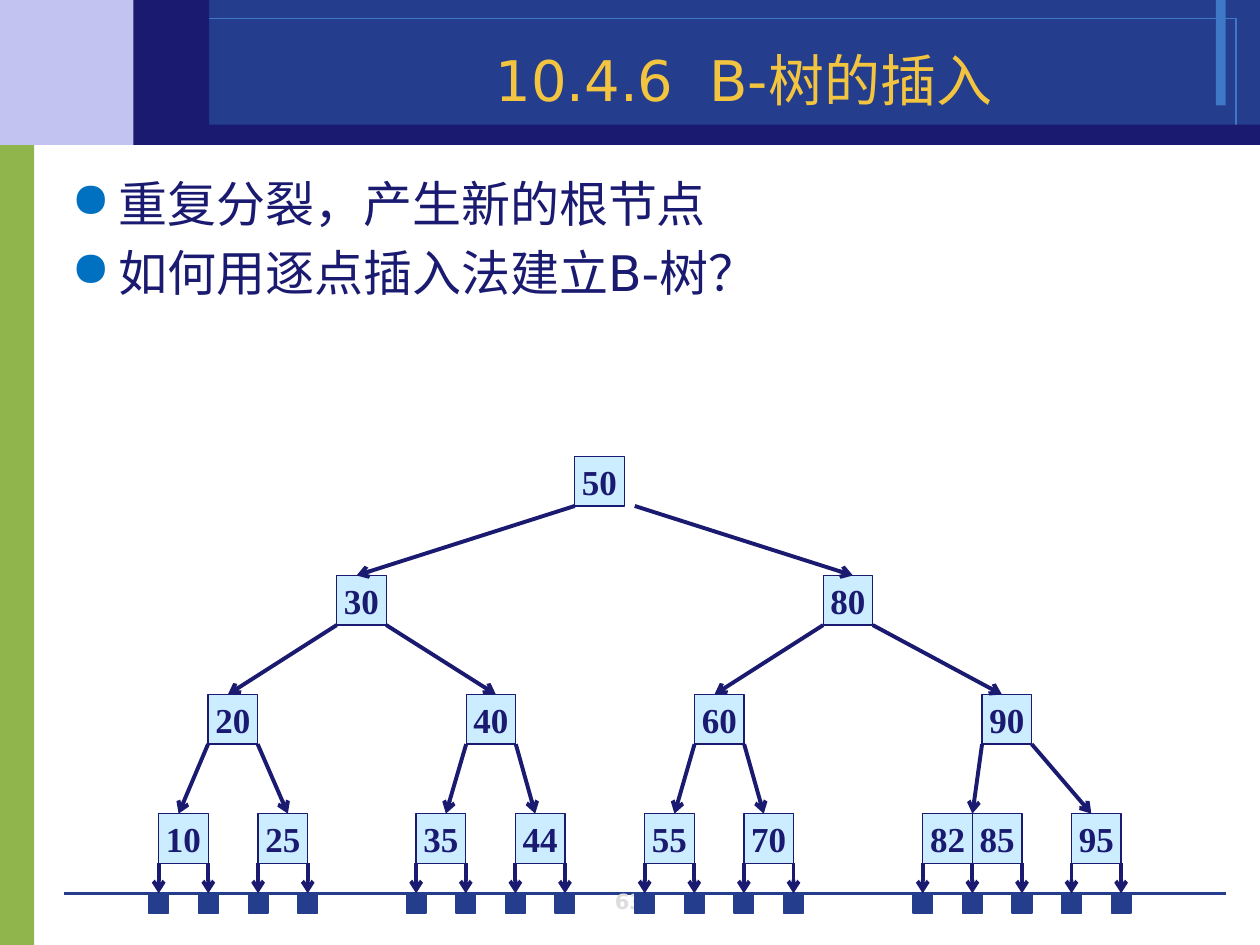
import pptx
import pptx.util
import pptx.dml.color
import pptx.enum.shapes
import pptx.enum.text
import pptx.oxml
from lxml import etree

Pt = pptx.util.Pt
ALIGN = pptx.enum.text.PP_ALIGN
ANCHOR = pptx.enum.text.MSO_ANCHOR
A = "http://schemas.openxmlformats.org/drawingml/2006/main"

# Content
TITLE = "10.4.6  B-树的插入"
BULLETS = ["重复分裂，产生新的根节点", "如何用逐点插入法建立B-树？"]
PAGE_NUMBER = "63"

NAVY, BLUE, SKY, CELL_FILL = "1A1A70", "243D8C", "3E78C6", "CCECFF"
TITLE_FONT = {"name": "DejaVu Sans", "size": Pt(32), "color": "F3C43F"}
BODY_FONT = {"name": "DejaVu Sans", "size": Pt(28), "color": NAVY}
NUMBER_FONT = {"name": "DejaVu Sans", "size": Pt(12), "bold": True, "color": "DDDDDD"}
KEY_FONT = {"name": "Times New Roman", "size": Pt(20), "bold": True, "color": NAVY}

# Backdrop: left, top, width, height, fill, line
BACKDROP = [
    (0, 76.8, 19.6, 463.2, "90B54D", None),
    (0, 0, 110.2, 82.8, "C3C3F1", None),
    (110.2, 0, 609.8, 82.8, BLUE, None),
    (694.8, 0, 5.6, 60.3, SKY, None),
    (85.7, 10.6, 620.6, 61.2, None, SKY),
    (93.6, 71.3, 626.4, 11.5, NAVY, None),
    (76.3, 0, 43.2, 82.8, NAVY, None),
]

# Tree levels; node: keys, left, parent, side of parent, where its arrow lands
CELL, LEAF = 28.35, 11.3
NEAR, FAR = 11.35, 17
LEVELS = [
    [(("50",), 328.4, None, None, None)],
    [(("30",), 192.4, "50", "left", NEAR), (("80",), 470.4, "50", "right", FAR)],
    [(("20",), 118.9, "30", "left", NEAR), (("40",), 266.4, "30", "right", FAR),
     (("60",), 396.9, "80", "left", NEAR), (("90",), 561.2, "80", "right", NEAR)],
    [(("10",), 90.7, "20", "left", NEAR), (("25",), 147.5, "20", "right", FAR),
     (("35",), 237.8, "40", "left", FAR), (("44",), 294.5, "40", "right", NEAR),
     (("55",), 368.4, "60", "left", FAR), (("70",), 425.1, "60", "right", NEAR),
     (("82", "85"), 527.3, "90", "left", CELL), (("95",), 612.3, "90", "right", NEAR)],
]
FIRST_TOP, LEVEL_STEP, LEAF_TOP = 260.8, 68.05, 510.5
ROOT_GAP = 6  # the root's right arrow starts clear of its cell

deck = pptx.Presentation()
deck.slide_width, deck.slide_height = Pt(720), Pt(540)
page = deck.slides.add_slide(deck.slide_layouts[6])


def rgb(value):
    return pptx.dml.color.RGBColor.from_string(value)


def add_span(para, text, font):
    span = para.add_run()
    span.text = text
    for name, value in font.items():
        if name == "color":
            span.font.color.rgb = rgb(value)
        else:
            setattr(span.font, name, value)


def add_rect(left, top, width, height, fill=None, line=None, weight=0.75):
    box = page.shapes.add_shape(pptx.enum.shapes.MSO_SHAPE.RECTANGLE,
                                Pt(left), Pt(top), Pt(width), Pt(height))
    box.shadow.inherit = False
    if fill:
        box.fill.solid()
        box.fill.fore_color.rgb = rgb(fill)
    else:
        box.fill.background()
    if line:
        box.line.color.rgb = rgb(line)
        box.line.width = Pt(weight)
    else:
        box.line.fill.background()
    return box


def add_line(x1, y1, x2, y2, color, weight, arrow=False):
    line = page.shapes.add_connector(pptx.enum.shapes.MSO_CONNECTOR.STRAIGHT,
                                     Pt(x1), Pt(y1), Pt(x2), Pt(y2))
    line.line.color.rgb = rgb(color)
    line.line.width = Pt(weight)
    if arrow:
        etree.SubElement(line.line._get_or_add_ln(), f"{{{A}}}headEnd", type="arrow")
    etree.SubElement(line._element.spPr, f"{{{A}}}effectLst")


def add_text(left, top, width, height, lines, font, align, anchor):
    box = page.shapes.add_textbox(Pt(left), Pt(top), Pt(width), Pt(height))
    frame = box.text_frame
    frame.word_wrap = True
    frame.vertical_anchor = anchor
    for index, text in enumerate(lines):
        para = frame.paragraphs[0] if index == 0 else frame.add_paragraph()
        para.alignment = align
        add_span(para, text, font)
    return frame


def add_bullet(para):
    para.space_before = Pt(5.6)
    props = para._p.get_or_add_pPr()
    props.set("marL", str(Pt(27)))
    props.set("indent", str(Pt(-27)))
    color = etree.SubElement(props, f"{{{A}}}buClr")
    etree.SubElement(color, f"{{{A}}}srgbClr", val="0070C0")
    etree.SubElement(props, f"{{{A}}}buChar", char="●")


def add_cell(key, left, top):
    box = add_rect(left, top, CELL, CELL, CELL_FILL, NAVY)
    frame = box.text_frame
    settings = {"word_wrap": False, "vertical_anchor": ANCHOR.MIDDLE, "margin_left": 0,
                "margin_right": 0, "margin_top": 0, "margin_bottom": 0}
    for name, value in settings.items():
        setattr(frame, name, value)
    frame.paragraphs[0].alignment = ALIGN.CENTER
    add_span(frame.paragraphs[0], key, KEY_FONT)


# Backdrop and text
for *place, fill, line in BACKDROP:
    add_rect(*place, fill, line, 0)
add_line(36.7, 510.5, 700.6, 510.5, BLUE, 0)
add_text(275.8, 507.6, 167.8, 18, [PAGE_NUMBER], NUMBER_FONT, ALIGN.CENTER, ANCHOR.BOTTOM)
add_text(130.3, 20.2, 589.7, 47.5, [TITLE], TITLE_FONT, ALIGN.CENTER, ANCHOR.BOTTOM)
body = add_text(33.8, 95.8, 686.2, 96.5, BULLETS, BODY_FONT, ALIGN.LEFT, ANCHOR.TOP)
for para in body.paragraphs:
    add_bullet(para)

# Tree cells, with an arrow from each parent's lower corner
corners = {}
for depth, nodes in enumerate(LEVELS):
    top = FIRST_TOP + depth * LEVEL_STEP
    bottom = top + CELL
    for keys, left, parent, side, landing in nodes:
        for index, key in enumerate(keys):
            add_cell(key, left + index * CELL, top)
        gap = 0 if parent else ROOT_GAP
        corners[keys[0]] = {"left": (left, bottom), "right": (left + CELL + gap, bottom)}
        if parent:
            add_line(left + landing, top, *corners[parent][side], NAVY, 2.25, arrow=True)

# Failure leaves under every edge of the lowest cells
for keys, left, *rest in LEVELS[-1]:
    for index in range(len(keys) + 1):
        x = left + index * CELL
        add_rect(x - LEAF / 2, LEAF_TOP, LEAF, LEAF, BLUE, BLUE)
        add_line(x, LEAF_TOP, x, bottom, NAVY, 2.25, arrow=True)

deck.save("out.pptx")
